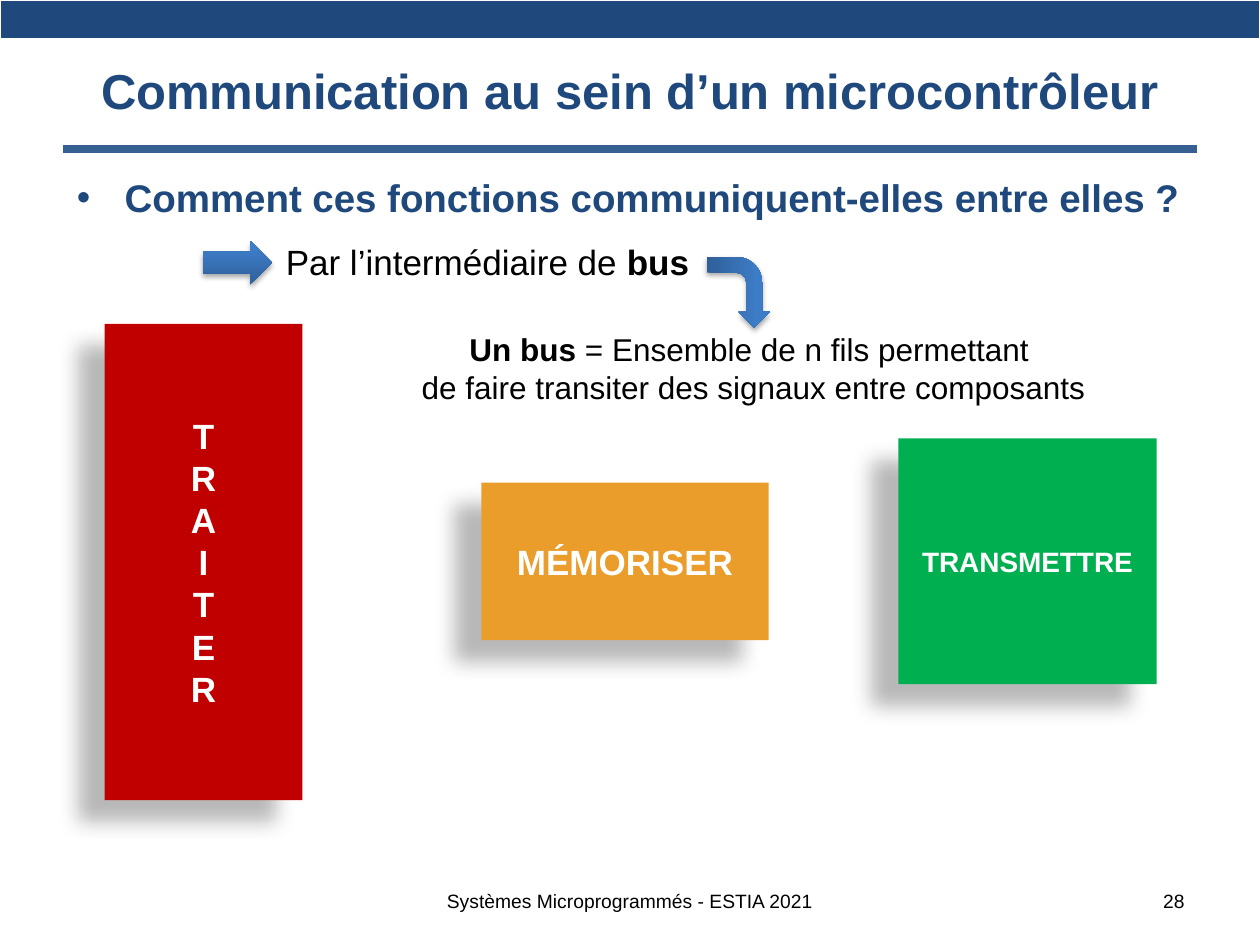
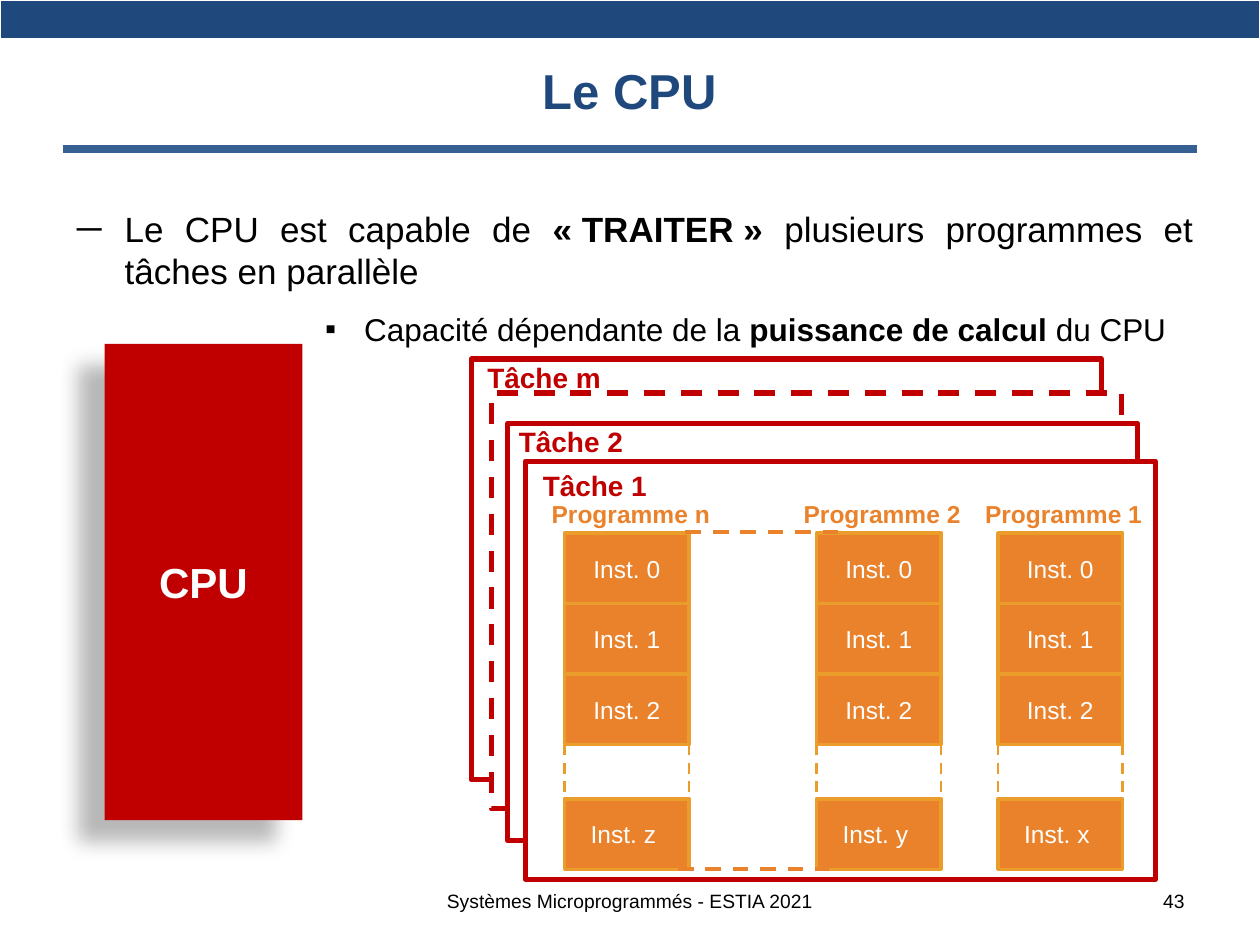
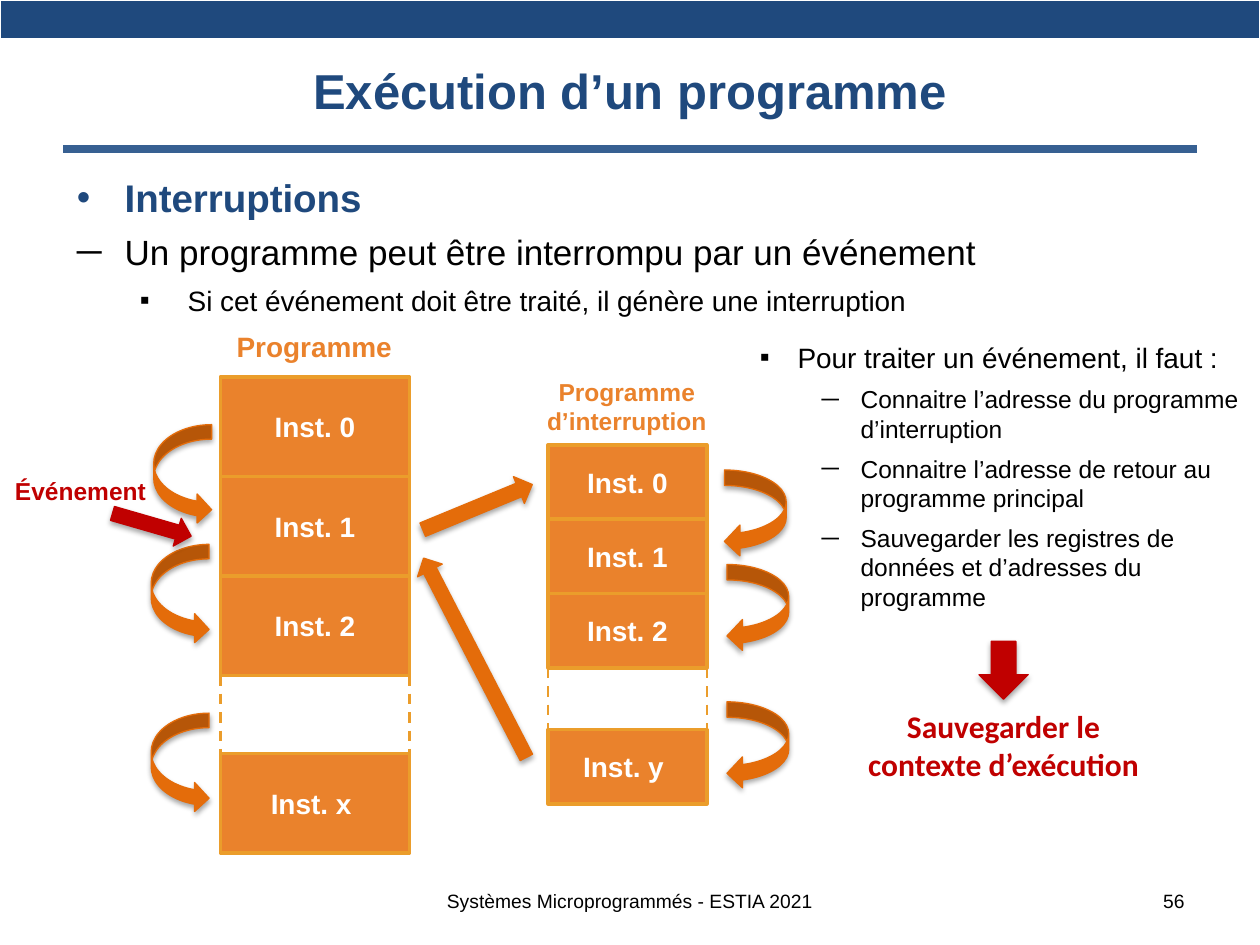
import dataclasses
import typing

import lxml.etree
import pptx
import pptx.dml.color
import pptx.enum.dml
import pptx.enum.shapes
import pptx.enum.text
import pptx.oxml.ns
import pptx.util

Inches = pptx.util.Inches
Pt = pptx.util.Pt
ALIGN = pptx.enum.text.PP_ALIGN
ANCHOR = pptx.enum.text.MSO_ANCHOR
SHAPE = pptx.enum.shapes.MSO_SHAPE
qn = pptx.oxml.ns.qn

NAVY, STEEL, RED = "1F497D", "376092", "C00000"
ORANGE, AMBER, RUST, GREEN = "EA822C", "EB9D2B", "E46C0A", "00B050"
BLACK, WHITE = "000000", "FFFFFF"
FOOTER = "Systèmes Microprogrammés - ESTIA 2021"
BLUE_GRADIENT = [(0, "2F5F99"), (80, "3D7CC7"), (100, "3A7CCB")]

Box = tuple[float, float, float, float]


class Shadow(typing.NamedTuple):
    opacity: int
    blur: float
    distance: float
    angle: int


BLOCK_SHADOW = Shadow(28, 11.8, 19.7, 141)
ARROW_SHADOW = Shadow(35, 3.1, 1.8, 90)


@dataclasses.dataclass
class Item:
    text: str
    size: int
    bullet: str
    left: float = 0.38
    hanging: float = 0.38
    level: int = 0
    color: str = BLACK
    bold: bool = False
    align: typing.Any = ALIGN.LEFT


@dataclasses.dataclass
class Block:
    box: Box
    text: str = ""
    fill: str = WHITE
    line: str | None = None
    weight: float = 0.75
    dashed: bool = False
    size: int = 20
    bold: bool = True
    shadow: Shadow | None = None


@dataclasses.dataclass
class Arrow:
    box: Box
    kind: typing.Any = SHAPE.RIGHT_ARROW
    color: str = RUST
    rotation: float = 0
    mirrored: bool = False


@dataclasses.dataclass
class Program:
    left: float
    top: float
    width: float
    height: float
    last: str
    last_top: float
    dash_end: float
    size: int
    bold: bool


def rgb(color: str):
    return pptx.dml.color.RGBColor.from_string(color)


def place(box: Box) -> list:
    return [Inches(value) for value in box]


def add_runs(paragraph, text: str, size: int = 18, color: str = BLACK,
             bold: bool = False, font: str = "Arial", align=ALIGN.LEFT) -> None:
    paragraph.alignment = align
    for index, part in enumerate(text.split("**")):
        if part:
            run = paragraph.add_run()
            run.text = part
            run.font.name = font
            run.font.size = Pt(size)
            run.font.bold = bold or index % 2 == 1
            run.font.color.rgb = rgb(color)


def write(frame, text: str, anchor=ANCHOR.TOP, wrap: bool = True, **style) -> None:
    frame.word_wrap = wrap
    sizing = pptx.enum.text.MSO_AUTO_SIZE
    frame.auto_size = sizing.NONE if wrap else sizing.SHAPE_TO_FIT_TEXT
    frame.vertical_anchor = anchor
    for index, line in enumerate(text.split("\n")):
        paragraph = frame.add_paragraph() if index else frame.paragraphs[0]
        add_runs(paragraph, line, **style)


def label(slide, box: Box, text: str, **style) -> None:
    write(slide.shapes.add_textbox(*place(box)).text_frame, text, **style)


def fill_list(placeholder, box: Box, items: list[Item]) -> None:
    placeholder.left, placeholder.top, placeholder.width, placeholder.height = place(box)
    frame = placeholder.text_frame
    frame.word_wrap = True
    frame.auto_size = pptx.enum.text.MSO_AUTO_SIZE.NONE
    for index, item in enumerate(items):
        paragraph = frame.add_paragraph() if index else frame.paragraphs[0]
        paragraph.level = item.level
        paragraph.space_before = Pt(6 if index else 0)
        properties = paragraph._p.get_or_add_pPr()
        properties.set("marL", str(Inches(item.left)))
        properties.set("indent", str(-Inches(item.hanging)))
        tint = lxml.etree.SubElement(properties, qn("a:buClr"))
        lxml.etree.SubElement(tint, qn("a:srgbClr"), val=item.color)
        lxml.etree.SubElement(properties, qn("a:buFont"), typeface="Arial")
        lxml.etree.SubElement(properties, qn("a:buChar"), char=item.bullet)
        add_runs(paragraph, item.text, size=item.size, color=item.color,
                 bold=item.bold, align=item.align)


def cast_shadow(shape, shadow: Shadow | None) -> None:
    shape.shadow.inherit = False
    if shadow:
        effects = shape._element.spPr.find(qn("a:effectLst"))
        outer = lxml.etree.SubElement(
            effects, qn("a:outerShdw"), blurRad=str(Pt(shadow.blur)),
            dist=str(Pt(shadow.distance)), dir=str(shadow.angle * 60000), rotWithShape="0")
        tint = lxml.etree.SubElement(outer, qn("a:srgbClr"), val=BLACK)
        lxml.etree.SubElement(tint, qn("a:alpha"), val=str(shadow.opacity * 1000))


def draw_block(slide, block: Block):
    shape = slide.shapes.add_shape(SHAPE.RECTANGLE, *place(block.box))
    shape.fill.solid()
    shape.fill.fore_color.rgb = rgb(block.fill)
    if block.line:
        shape.line.color.rgb = rgb(block.line)
        shape.line.width = Pt(block.weight)
        if block.dashed:
            shape.line.dash_style = pptx.enum.dml.MSO_LINE.DASH
    else:
        shape.line.fill.background()
    cast_shadow(shape, block.shadow)
    if block.text:
        write(shape.text_frame, block.text, anchor=ANCHOR.MIDDLE, size=block.size,
              color=WHITE, bold=block.bold, align=ALIGN.CENTER)
    return shape


def draw_arrow(slide, arrow: Arrow):
    shape = slide.shapes.add_shape(arrow.kind, *place(arrow.box))
    shape.rotation = arrow.rotation
    if arrow.mirrored:
        shape._element.spPr.find(qn("a:xfrm")).set("flipH", "1")
    shape.fill.solid()
    shape.fill.fore_color.rgb = rgb(arrow.color)
    shape.line.color.rgb = rgb(arrow.color)
    shape.line.width = Pt(0.75)
    cast_shadow(shape, ARROW_SHADOW)
    return shape


def shade_blue(shape) -> None:
    shape.line.fill.background()
    shape.fill.gradient()
    shape.fill.gradient_angle = 90
    stops = shape._element.spPr.find(qn("a:gradFill")).find(qn("a:gsLst"))
    for stop in list(stops):
        stops.remove(stop)
    for position, color in BLUE_GRADIENT:
        stop = lxml.etree.SubElement(stops, qn("a:gs"), pos=str(position * 1000))
        lxml.etree.SubElement(stop, qn("a:srgbClr"), val=color)


def draw_line(slide, start: tuple[float, float], end: tuple[float, float],
              color: str, weight: float, dashed: bool = True) -> None:
    line = slide.shapes.add_connector(
        pptx.enum.shapes.MSO_CONNECTOR.STRAIGHT, *place((*start, *end)))
    line.line.color.rgb = rgb(color)
    line.line.width = Pt(weight)
    if dashed:
        line.line.dash_style = pptx.enum.dml.MSO_LINE.DASH
    lxml.etree.SubElement(line._element.spPr, qn("a:effectLst"))


def draw_program(slide, program: Program) -> None:
    tops = [program.top + row * program.height for row in range(3)]
    rows = [(f"Inst. {row}", top) for row, top in enumerate(tops)]
    for text, top in rows + [(f"Inst. {program.last} ", program.last_top)]:
        draw_block(slide, Block((program.left, top, program.width, program.height), text,
                                ORANGE, AMBER, 2, size=program.size, bold=program.bold))
    dash_start = program.top + 3 * program.height
    for x in (program.left, program.left + program.width):
        draw_line(slide, (x, dash_start), (x, program.dash_end), AMBER, 1.5)


def start_slide(deck, layout: int, title: str, number: int):
    slide = deck.slides.add_slide(deck.slide_layouts[layout])
    draw_line(slide, (0.5, 1.18), (9.5, 1.18), STEEL, 4.5, dashed=False)
    band = slide.shapes.add_table(1, 1, *place((0, 0, 10, 0.31))).table.cell(0, 0)
    band.margin_top = band.margin_bottom = 0
    band.fill.solid()
    band.fill.fore_color.rgb = rgb(NAVY)
    heading = slide.shapes.title
    heading.left, heading.top, heading.width, heading.height = place((0.5, 0.17, 9, 1.08))
    write(heading.text_frame, title, anchor=ANCHOR.MIDDLE, size=28, color=NAVY,
          bold=True, align=ALIGN.CENTER)
    label(slide, (2.83, 6.95, 4.34, 0.4), FOOTER, anchor=ANCHOR.MIDDLE, size=11,
          align=ALIGN.CENTER)
    label(slide, (7.17, 6.95, 2.33, 0.4), str(number), anchor=ANCHOR.MIDDLE, size=11,
          align=ALIGN.RIGHT)
    return slide


def build_bus(deck) -> None:
    slide = start_slide(deck, 1, "Communication au sein d’un microcontrôleur", 28)
    fill_list(slide.placeholders[1], (0.51, 1.33, 9.06, 1), [
        Item("Comment ces fonctions communiquent-elles entre elles ?", 22, "•",
             color=NAVY, bold=True)])
    process = draw_block(slide, Block((0.83, 2.57, 1.57, 3.78), "TRAITER", RED,
                                      shadow=BLOCK_SHADOW))
    process.text_frame._txBody.bodyPr.set("vert", "wordArtVert")
    draw_block(slide, Block((3.82, 3.83, 2.28, 1.25), "MÉMORISER", AMBER,
                            shadow=BLOCK_SHADOW))
    draw_block(slide, Block((7.13, 3.48, 2.05, 1.95), "TRANSMETTRE", GREEN, size=16,
                            shadow=BLOCK_SHADOW))
    label(slide, (2.17, 1.86, 3.43, 0.44), "Par l’intermédiaire de **bus**", size=20,
          wrap=False)
    label(slide, (3.22, 2.57, 5.52, 0.71),
          "**Un bus **= Ensemble de n fils permettant \n"
          "de faire transiter des signaux entre composants",
          wrap=False, align=ALIGN.CENTER)
    answer = draw_arrow(slide, Arrow((1.61, 1.91, 0.55, 0.35)))
    definition = draw_arrow(slide, Arrow((5.58, 2.07, 0.56, 0.5), SHAPE.BENT_ARROW,
                                         rotation=90))
    definition.adjustments[3] = 0.4
    shade_blue(answer)
    shade_blue(definition)


def build_cpu(deck) -> None:
    slide = start_slide(deck, 3, "Le CPU", 43)
    fill_list(slide.placeholders[1], (0.51, 1.6, 9.06, 1.05), [
        Item("Le CPU est capable de **«\u00a0TRAITER\u00a0»** plusieurs programmes et "
             "tâches en parallèle", 20, "─", align=ALIGN.JUSTIFY)])
    fill_list(slide.placeholders[2], (2.48, 2.41, 7.32, 4.43), [
        Item("Capacité dépendante de la **puissance de calcul **du CPU", 18, "▪",
             0.31, 0.31)])
    draw_block(slide, Block((0.83, 2.73, 1.57, 3.78), "CPU", RED, size=24,
                            shadow=BLOCK_SHADOW))
    for left, top, height, dashed in [(3.74, 2.85, 3.34, False), (3.9, 3.12, 3.3, True),
                                      (4.03, 3.36, 3.31, False), (4.17, 3.66, 3.32, False)]:
        draw_block(slide, Block((left, top, 5, height), line=RED, weight=3, dashed=dashed))
    for name, last, left in [("2", "y", 6.48), ("1", "x", 7.92), ("n", "z", 4.48)]:
        draw_program(slide, Program(left, 4.23, 0.99, 0.56, last, 6.34, 6.49, 14, False))
        label(slide, (left - 0.2, 3.91, 1.46, 0.34), f"Programme {name}", size=14,
              color=ORANGE, bold=True, wrap=False)
    draw_line(slide, (5.38, 6.9), (6.58, 6.9), ORANGE, 2.25)
    draw_line(slide, (5.44, 4.22), (6.65, 4.22), ORANGE, 2.25)
    for name, left, top in [("2", 4.02, 3.32), ("1", 4.21, 3.67), ("m", 3.77, 2.81)]:
        label(slide, (left, top, 1.86, 0.37), f"Tâche {name}", size=16, color=RED, bold=True)


def build_interruptions(deck) -> None:
    slide = start_slide(deck, 3, "Exécution d’un programme", 56)
    fill_list(slide.placeholders[1], (0.51, 1.33, 8.99, 1.32), [
        Item("Interruptions", 22, "•", color=NAVY, bold=True),
        Item("Un programme peut être interrompu par un événement", 20, "─",
             align=ALIGN.JUSTIFY),
        Item("Si cet événement doit être traité, il génère une interruption", 16, "▪",
             0.88, level=1, align=ALIGN.JUSTIFY)])
    steps = ["Connaitre l’adresse du programme d’interruption",
             "Connaitre l’adresse de retour au programme principal",
             "Sauvegarder les registres de données et d’adresses du programme"]
    fill_list(slide.placeholders[2], (5.93, 2.65, 4.07, 2.46), [
        Item("Pour traiter un événement, il faut :", 16, "▪", 0.3, 0.31),
        *(Item(step, 14, "─", 0.8, 0.31, level=1) for step in steps)])
    draw_program(slide, Program(1.75, 2.99, 1.5, 0.79, "x", 5.98, 6.19, 16, True))
    draw_program(slide, Program(4.35, 3.53, 1.26, 0.59, "y", 5.79, 5.95, 16, True))
    label(slide, (1.78, 2.57, 1.45, 0.37), "Programme", size=16, color=ORANGE, bold=True,
          wrap=False)
    label(slide, (4.24, 2.94, 1.47, 0.57), "Programme\nd’interruption", size=14,
          color=ORANGE, bold=True, wrap=False, align=ALIGN.CENTER)
    label(slide, (0.02, 3.73, 1.25, 0.34), "Événement", size=14, color=RED, bold=True,
          wrap=False)
    label(slide, (6.78, 5.56, 2.37, 0.71), "Sauvegarder le\ncontexte d’exécution",
          color=RED, bold=True, font="Calibri", wrap=False, align=ALIGN.CENTER)
    curved = SHAPE.CURVED_RIGHT_ARROW
    main_steps = [Arrow((left, top, 0.46, 0.79), curved)
                  for left, top in [(1.22, 3.37), (1.2, 4.32), (1.2, 5.66)]]
    interrupt_steps = [Arrow((left, top, 0.49, 0.69), curved, mirrored=True)
                       for left, top in [(5.75, 3.73), (5.77, 4.48), (5.77, 5.57)]]
    jumps = [Arrow((0.88, 4.05, 0.65, 0.23), color=RED, rotation=16.1),
             Arrow((3.32, 3.91, 0.94, 0.23), rotation=337.6),
             Arrow((2.88, 5.11, 1.78, 0.22), rotation=242.7),
             Arrow((7.77, 5.09, 0.39, 0.46), SHAPE.DOWN_ARROW, RED)]
    for arrow in main_steps + interrupt_steps + jumps:
        draw_arrow(slide, arrow)


def main() -> None:
    deck = pptx.Presentation()
    deck.slide_width, deck.slide_height = Inches(10), Inches(7.5)
    build_bus(deck)
    build_cpu(deck)
    build_interruptions(deck)
    deck.save("out.pptx")


if __name__ == "__main__":
    main()
